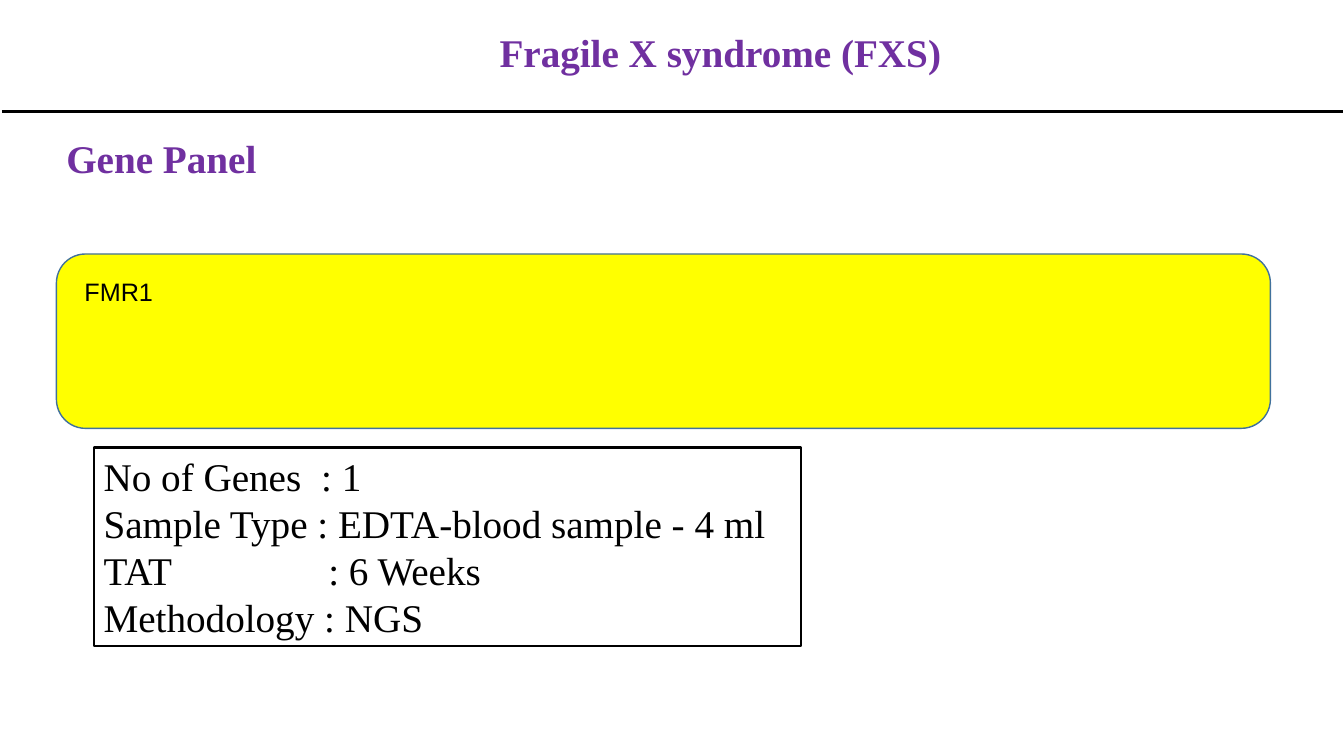
from dataclasses import dataclass

from lxml import etree
from pptx import Presentation
from pptx.dml.color import RGBColor
from pptx.enum import shapes, text
from pptx.oxml import ns
from pptx.util import Inches, Pt


@dataclass(frozen=True)
class Theme:
    purple: RGBColor = RGBColor(0x70, 0x30, 0xA0)
    black: RGBColor = RGBColor(0, 0, 0)
    yellow: RGBColor = RGBColor(0xFF, 0xFF, 0)
    blue: RGBColor = RGBColor(0x41, 0x71, 0x9C)
    serif: str = "Times New Roman"
    sans: str = "Arial"
    large: int = 28
    small: int = 18


THEME = Theme()

# Each row: text, and the tab stop in inches where its colon is aligned
TEST_DETAILS = [
    ("No of Genes\t: 1", 2.16),
    ("Sample Type : EDTA-blood sample - 4 ml", None),
    ("TAT\t: 6 Weeks", 2.23),
    ("Methodology : NGS", None),
]


def add_tab_stop(paragraph, position):
    properties = paragraph._p.get_or_add_pPr()
    tab_list = etree.SubElement(properties, ns.qn("a:tabLst"))
    etree.SubElement(tab_list, ns.qn("a:tab"), pos=str(Inches(position)), algn="l")


def style_paragraph(paragraph, size=THEME.large, name=THEME.serif,
                    color=THEME.black, bold=False):
    font = paragraph.font
    font.size = Pt(size)
    font.name = name
    font.color.rgb = color
    font.bold = bold


def add_label(slide, wording, left, top, width, height, **style):
    box = slide.shapes.add_textbox(*map(Inches, (left, top, width, height)))
    frame = box.text_frame
    frame.word_wrap = True
    paragraph = frame.paragraphs[0]
    paragraph.text = wording
    style_paragraph(paragraph, **style)
    return frame


def add_title(slide, wording):
    frame = add_label(slide, wording, 1.4, 0, 11.5, 1.09,
                      color=THEME.purple, bold=True)
    frame.vertical_anchor = text.MSO_ANCHOR.MIDDLE
    frame.paragraphs[0].alignment = text.PP_ALIGN.CENTER
    frame.paragraphs[0].line_spacing = 0.9


def add_rule(slide, left, right, top):
    rule = slide.shapes.add_connector(
        shapes.MSO_CONNECTOR.STRAIGHT, *map(Inches, (left, top, right, top)))
    rule.line.color.rgb = THEME.black
    rule.line.width = Pt(2.25)
    etree.SubElement(rule._element.spPr, ns.qn("a:effectLst"))


def add_panel(slide, kind, left, top, width, height, line_color, line_width, fill=None):
    panel = slide.shapes.add_shape(kind, *map(Inches, (left, top, width, height)))
    panel.shadow.inherit = False
    if fill is None:
        panel.fill.background()
    else:
        panel.fill.solid()
        panel.fill.fore_color.rgb = fill
    panel.line.color.rgb = line_color
    panel.line.width = Pt(line_width)
    return panel


def add_test_details(slide):
    panel = add_panel(slide, shapes.MSO_SHAPE.RECTANGLE, 0.93, 4.44, 7.02, 1.97,
                      THEME.black, 1.5)
    frame = panel.text_frame
    frame.word_wrap = True
    frame.vertical_anchor = text.MSO_ANCHOR.TOP
    for index, (wording, tab_stop) in enumerate(TEST_DETAILS):
        paragraph = frame.add_paragraph() if index else frame.paragraphs[0]
        paragraph.text = wording
        paragraph.alignment = text.PP_ALIGN.LEFT
        if tab_stop:
            add_tab_stop(paragraph, tab_stop)
        style_paragraph(paragraph)


def main():
    presentation = Presentation()
    presentation.slide_width = Inches(13.34)
    presentation.slide_height = Inches(7.5)
    slide = presentation.slides.add_slide(presentation.slide_layouts[6])

    add_title(slide, "Fragile X syndrome (FXS)")
    add_rule(slide, 0.02, 13.33, 1.11)
    add_panel(slide, shapes.MSO_SHAPE.ROUNDED_RECTANGLE, 0.56, 2.52, 12.05, 1.73,
              THEME.blue, 1, fill=THEME.yellow)
    add_label(slide, "FMR1", 0.74, 2.69, 11.5, 0.4,
              size=THEME.small, name=THEME.sans)
    add_test_details(slide)
    add_label(slide, "Gene Panel", 0.56, 1.28, 3.79, 0.57,
              color=THEME.purple, bold=True)

    presentation.save("out.pptx")


if __name__ == "__main__":
    main()
